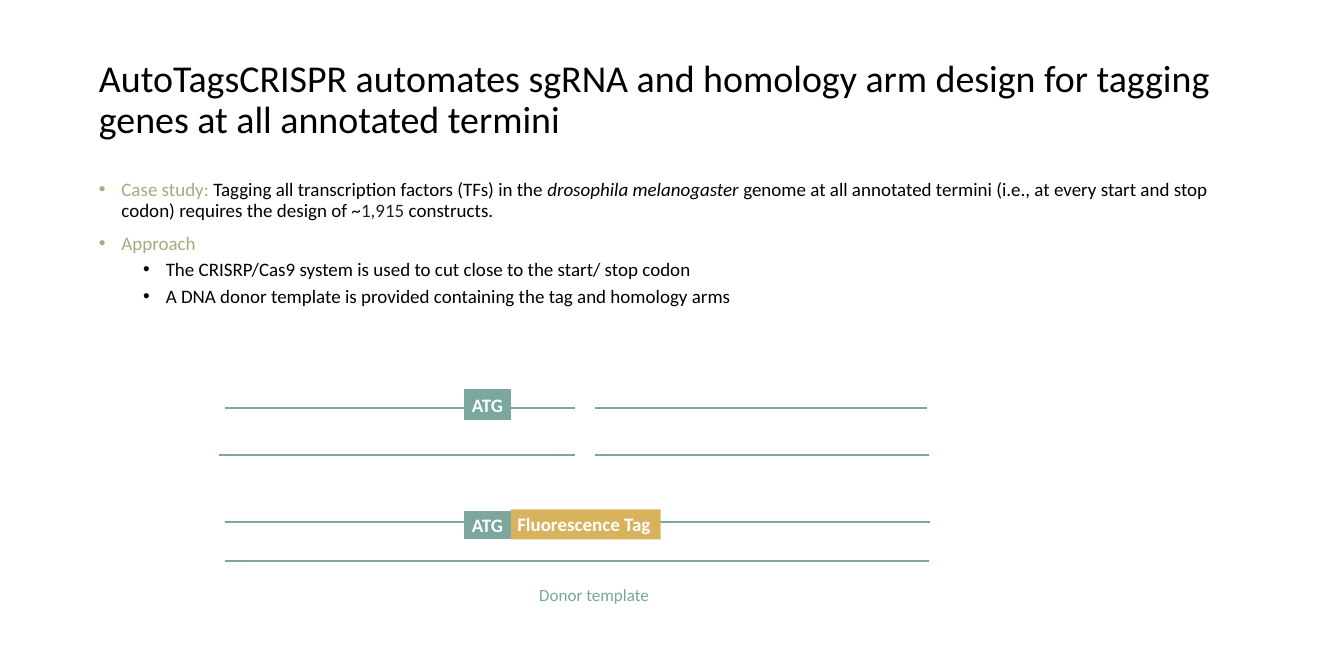
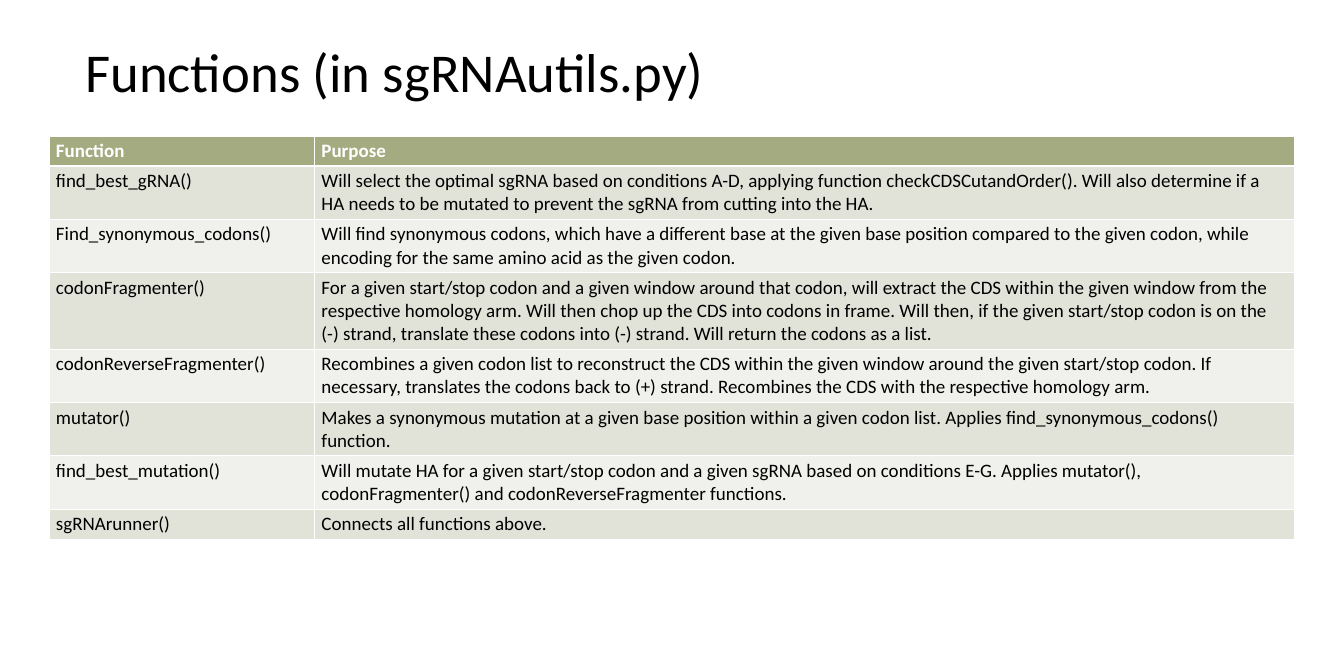
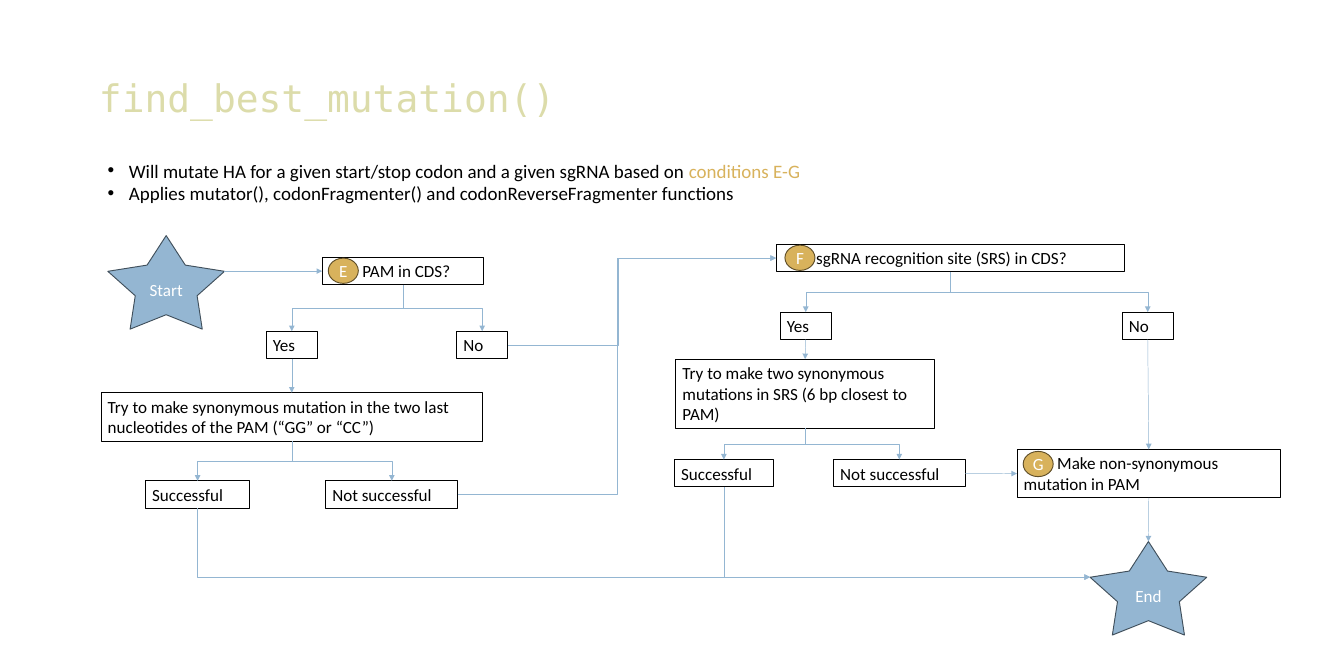
from dataclasses import dataclass
from enum import IntEnum
from typing import NamedTuple

from lxml.etree import SubElement
from pptx import Presentation
from pptx.dml.color import RGBColor
from pptx.enum.shapes import MSO_CONNECTOR as Link, MSO_SHAPE as Preset
from pptx.enum.text import MSO_ANCHOR as Anchor, MSO_AUTO_SIZE as AutoSize, PP_ALIGN as Align
from pptx.oxml.ns import qn
from pptx.shapes.autoshape import Shape
from pptx.shapes.connector import Connector
from pptx.slide import Slide
from pptx.text.text import TextFrame, _Paragraph as Paragraph, _Run as Run
from pptx.util import Inches, Pt

BLACK = RGBColor(0x00, 0x00, 0x00)
WHITE = RGBColor(0xFF, 0xFF, 0xFF)
INK = RGBColor(0x1F, 0x23, 0x28)
SAGE = RGBColor(0xA5, 0xAB, 0x81)
SAGE_MID = RGBColor(0xE1, 0xE2, 0xD8)
SAGE_LIGHT = RGBColor(0xF0, 0xF1, 0xED)
TEAL = RGBColor(0x7B, 0xA7, 0x9D)
GOLD = RGBColor(0xD8, 0xB2, 0x5C)
GOLD_DARK = RGBColor(0x5F, 0x4E, 0x28)
BLUE = RGBColor(0x94, 0xB6, 0xD2)
BLUE_DARK = RGBColor(0x41, 0x50, 0x5C)
CODE_YELLOW = RGBColor(0xDC, 0xDC, 0xAA)

BODY_FONT = "Calibri"
CODE_FONT = "DejaVu Sans Mono"
TITLE_ONLY = 5
TAB_STOP = 0.49
BOX_HEIGHT = 0.4


class Area(NamedTuple):
    left: float
    top: float
    width: float
    height: float

    def lengths(self) -> list[int]:
        return [Inches(value) for value in self]


class Span(NamedTuple):
    text: str
    color: RGBColor = BLACK
    italic: bool = False


@dataclass(frozen=True)
class Bullet:
    spans: list[Span]
    margin: float
    hanging: float
    level: int = 0
    space_before: float = 0
    line_spacing: float = 1.0


@dataclass(frozen=True)
class Look:
    preset: Preset = Preset.RECTANGLE
    fill: RGBColor = WHITE
    outline: RGBColor | None = BLACK
    text_color: RGBColor = BLACK
    size: float = 18
    bold: bool = False
    centred: bool = False
    wrap: bool = False


class Strand(NamedTuple):
    start: float
    end: float
    y: float


class Site(IntEnum):
    TOP = 0
    LEFT = 1
    BOTTOM = 2
    RIGHT = 3


class Node(NamedTuple):
    key: str
    text: str
    area: Area


class Flow(NamedTuple):
    source: str
    target: str
    leave: Site = Site.BOTTOM
    enter: Site = Site.TOP
    bent: bool = False
    bend: float = 0.5


TITLE_AREA = Area(1.35, 0.52, 16.98, 1.9)
TITLE_SIZE = 40

CODON = Look(fill=TEAL, outline=TEAL, text_color=WHITE, size=20, bold=True, centred=True)
TAG = Look(fill=GOLD, outline=None, text_color=WHITE, size=20, bold=True)
STEP = Look(wrap=True)
STAR = Look(Preset.STAR_5_POINT, BLUE, BLUE_DARK, WHITE, centred=True)
BADGE = Look(Preset.OVAL, GOLD, GOLD_DARK, WHITE, centred=True)
STAR_ARM = 0.38

CASE_BULLETS = [
    Bullet([
        Span("Case study:", SAGE),
        Span(" Tagging all transcription factors (TFs) in the "),
        Span("drosophila melanogaster ", italic=True),
        Span("genome at all annotated termini (i.e., at every start and stop codon) requires the design of ~"),
        Span("1,915", INK),
        Span(" constructs."),
    ], 0.33, 0.33, line_spacing=0.9),
    Bullet([Span("Approach", SAGE)], 0.33, 0.33, 0, 13.1, 0.9),
    *(Bullet([Span(text)], 0.98, 0.33, 1, 6.6, 0.9) for text in (
        "The CRISRP/Cas9 system is used to cut close to the start/ stop codon",
        "A DNA donor template is provided containing the tag and homology arms",
    )),
]

STRANDS = [
    Strand(3.29, 8.43, 5.97),
    Strand(8.71, 13.58, 5.97),
    Strand(3.21, 8.43, 6.66),
    Strand(8.71, 13.61, 6.66),
    Strand(3.29, 13.63, 7.65),
    Strand(3.29, 13.61, 8.21),
]

FUNCTIONS = [
    ("Function", "Purpose", 1),
    ("find_best_gRNA()", "Will select the optimal sgRNA based on conditions A-D, applying function checkCDSCutandOrder(). Will also determine if a HA needs to be mutated to prevent the sgRNA from cutting into the HA.", 2),
    ("Find_synonymous_codons()", "Will find synonymous codons, which have a different base at the given base position compared to the given codon, while encoding for the same amino acid as the given codon.", 2),
    ("codonFragmenter()", "For a given start/stop codon and a given window around that codon, will extract the CDS within the given window from the respective homology arm. Will then chop up the CDS into codons in frame. Will then, if the given start/stop codon is on the (-) strand, translate these codons into (-) strand. Will return the codons as a list.", 3),
    ("codonReverseFragmenter()", "Recombines a given codon list to reconstruct the CDS within the given window around the given start/stop codon. If necessary, translates the codons back to (+) strand. Recombines the CDS with the respective homology arm.", 2),
    ("mutator()", "Makes a synonymous mutation at a given base position within a given codon list. Applies find_synonymous_codons() function.", 2),
    ("find_best_mutation()", "Will mutate HA for a given start/stop codon and a given sgRNA based on conditions E-G. Applies mutator(), codonFragmenter() and codonReverseFragmenter functions.", 2),
    ("sgRNArunner()", "Connects all functions above.", 1),
]
COLUMN_WIDTHS = (3.89, 14.35)
LINE_HEIGHT = 0.34
CELL_PADDING = 0.1

MUTATION_BULLETS = [
    Bullet([
        Span("Will mutate HA for a given start/stop codon and a given sgRNA based on "),
        Span("conditions E-G", GOLD),
    ], 0.31, 0.31),
    Bullet([Span("Applies mutator(), codonFragmenter() and codonReverseFragmenter functions")], 0.31, 0.31),
]

STEPS = [
    Node("pam", "\tPAM in CDS?", Area(4.72, 3.77, 2.37, BOX_HEIGHT)),
    Node("pam_try", "Try to make synonymous mutation in the two last nucleotides of the PAM (“GG” or “CC”)",
         Area(1.48, 5.75, 5.59, 0.71)),
    Node("pam_yes", "Yes", Area(3.9, 4.85, 0.75, BOX_HEIGHT)),
    Node("pam_no", "No", Area(6.69, 4.85, 0.75, BOX_HEIGHT)),
    Node("srs", "\tsgRNA recognition site (SRS) in CDS?", Area(11.37, 3.58, 5.1, BOX_HEIGHT)),
    Node("srs_yes", "Yes", Area(11.43, 4.57, 0.75, BOX_HEIGHT)),
    Node("srs_no", "No", Area(16.44, 4.57, 0.75, BOX_HEIGHT)),
    Node("srs_try", "Try to make two synonymous mutations in SRS (6 bp closest to PAM)",
         Area(9.9, 5.26, 3.79, 1.01)),
    Node("pam_success", "Successful", Area(2.13, 7.04, 1.53, BOX_HEIGHT)),
    Node("pam_failure", "Not successful", Area(4.77, 7.04, 1.94, BOX_HEIGHT)),
    Node("srs_success", "Successful", Area(9.88, 6.73, 1.45, BOX_HEIGHT)),
    Node("srs_failure", "Not successful", Area(12.21, 6.73, 1.93, BOX_HEIGHT)),
    Node("force", "\tMake non-synonymous mutation in PAM", Area(14.9, 6.58, 3.86, 0.71)),
]
STARS = [
    Node("start", "Start", Area(1.58, 3.45, 1.71, 1.37)),
    Node("end", "End", Area(15.97, 7.93, 1.71, 1.37)),
]
BADGES = [
    Node("badge_pam", "E", Area(4.81, 3.78, 0.44, 0.37)),
    Node("badge_srs", "F", Area(11.5, 3.59, 0.44, 0.37)),
    Node("badge_force", "G", Area(14.99, 6.61, 0.44, 0.37)),
]
FLOWS = [
    Flow("srs_failure", "force", Site.RIGHT, Site.LEFT),
    Flow("srs_success", "end", enter=Site.LEFT, bent=True),
    Flow("force", "end"),
    Flow("srs_try", "srs_success", bent=True),
    Flow("srs_try", "srs_failure", bent=True),
    Flow("srs", "srs_yes", bent=True),
    Flow("srs", "srs_no", bent=True),
    Flow("srs_no", "force"),
    Flow("srs_yes", "srs_try"),
    Flow("pam", "pam_yes", bent=True),
    Flow("pam", "pam_no", bent=True),
    Flow("pam_yes", "pam_try"),
    Flow("pam_try", "pam_failure", bent=True),
    Flow("pam_try", "pam_success", bent=True),
    Flow("pam_failure", "srs", Site.RIGHT, Site.LEFT, True),
    Flow("pam_success", "end", enter=Site.LEFT, bent=True),
    Flow("pam_no", "srs", Site.RIGHT, Site.LEFT, True, 0.41),
]


def style_run(run: Run, size: float, color: RGBColor, bold: bool = False, font: str = BODY_FONT) -> None:
    run.font.name = font
    run.font.size = Pt(size)
    run.font.bold = bold
    run.font.color.rgb = color


def add_titled_slide(deck: Presentation, text: str, area: Area = TITLE_AREA, size: float = TITLE_SIZE,
                     color: RGBColor = BLACK, font: str = BODY_FONT) -> Slide:
    slide = deck.slides.add_slide(deck.slide_layouts[TITLE_ONLY])
    title = slide.shapes.title
    title.left, title.top, title.width, title.height = area.lengths()
    frame = title.text_frame
    frame.text = text
    frame.word_wrap = True
    frame.auto_size = AutoSize.NONE
    frame.vertical_anchor = Anchor.MIDDLE
    paragraph = frame.paragraphs[0]
    paragraph.alignment = Align.LEFT
    paragraph.line_spacing = 0.9
    style_run(paragraph.runs[0], size, color, font=font)
    return slide


def add_text_frame(slide: Slide, area: Area) -> TextFrame:
    frame = slide.shapes.add_textbox(*area.lengths()).text_frame
    frame.word_wrap = True
    return frame


def fill_bullet(paragraph: Paragraph, bullet: Bullet) -> None:
    paragraph.level = bullet.level
    paragraph.line_spacing = bullet.line_spacing
    paragraph.space_before = Pt(bullet.space_before)
    properties = paragraph._p.get_or_add_pPr()
    properties.set("marL", str(Inches(bullet.margin)))
    properties.set("indent", str(-Inches(bullet.hanging)))
    SubElement(properties, qn("a:buFont"), typeface="Arial")
    SubElement(properties, qn("a:buChar"), char="•")
    for span in bullet.spans:
        run = paragraph.add_run()
        run.text = span.text
        style_run(run, 20, span.color)
        run.font.italic = span.italic


def add_bullets(slide: Slide, area: Area, bullets: list[Bullet]) -> None:
    frame = add_text_frame(slide, area)
    for index, bullet in enumerate(bullets):
        fill_bullet(frame.add_paragraph() if index else frame.paragraphs[0], bullet)


def add_label_shape(slide: Slide, text: str, area: Area, look: Look) -> Shape:
    shape = slide.shapes.add_shape(look.preset, *area.lengths())
    shape.shadow.inherit = False
    shape.fill.solid()
    shape.fill.fore_color.rgb = look.fill
    if look.outline is None:
        shape.line.fill.background()
    else:
        shape.line.color.rgb = look.outline
        shape.line.width = Pt(1)
    frame = shape.text_frame
    frame.text = text
    frame.word_wrap = look.wrap
    frame.vertical_anchor = Anchor.MIDDLE if look.centred else Anchor.TOP
    paragraph = frame.paragraphs[0]
    paragraph.alignment = Align.CENTER if look.centred else Align.LEFT
    if text.startswith("\t"):
        stops = SubElement(paragraph._p.get_or_add_pPr(), qn("a:tabLst"))
        SubElement(stops, qn("a:tab"), pos=str(Inches(TAB_STOP)), algn="l")
    for run in paragraph.runs:
        style_run(run, look.size, look.text_color, look.bold)
    return shape


def style_line(line: Connector, color: RGBColor, width: float, arrow: bool = False) -> None:
    line.line.color.rgb = color
    line.line.width = Pt(width)
    properties = line._element.spPr
    if arrow:
        SubElement(properties.find(qn("a:ln")), qn("a:tailEnd"), type="triangle")
    SubElement(properties, qn("a:effectLst"))


def add_straight(slide: Slide, start: tuple[float, float], end: tuple[float, float]) -> Connector:
    return slide.shapes.add_connector(Link.STRAIGHT, *(Inches(value) for value in (*start, *end)))


def turn_downward(elbow: Connector) -> None:
    rightward = elbow.end_x > elbow.begin_x
    across, down = elbow.width, elbow.height
    middle_x, middle_y = elbow.left + across // 2, elbow.top + down // 2
    elbow.left, elbow.top = middle_x - down // 2, middle_y - across // 2
    elbow.width, elbow.height = down, across
    transform = elbow._element.spPr.find(qn("a:xfrm"))
    for flip in ("flipH", "flipV"):
        transform.attrib.pop(flip, None)
    transform.set("rot", str((270 if rightward else 90) * 60000))
    if rightward:
        transform.set("flipH", "1")


def add_flow(slide: Slide, flow: Flow, shapes: dict[str, Shape]) -> None:
    target = shapes[flow.target]
    line = slide.shapes.add_connector(Link.ELBOW if flow.bent else Link.STRAIGHT, 0, 0, 0, 0)
    line.begin_connect(shapes[flow.source], flow.leave)
    line.end_connect(target, flow.enter)
    if flow.target == "end" and flow.enter == Site.LEFT:
        line.end_y = target.top + int(target.height * STAR_ARM)
    geometry = line._element.spPr.find(qn("a:prstGeom"))
    if flow.bent and flow.leave == Site.BOTTOM:
        turn_downward(line)
        if flow.enter == Site.LEFT:
            geometry.set("prst", "bentConnector2")
    if flow.bend != 0.5:
        SubElement(geometry.find(qn("a:avLst")), qn("a:gd"), name="adj1", fmla=f"val {round(flow.bend * 100000)}")
    style_line(line, BLUE, 0.5, arrow=True)


def build_case_study(deck: Presentation) -> None:
    slide = add_titled_slide(
        deck, "AutoTagsCRISPR automates sgRNA and homology arm design for tagging genes at all annotated termini")
    add_bullets(slide, Area(1.35, 2.59, 16.98, 2.2), CASE_BULLETS)
    for strand in STRANDS:
        style_line(add_straight(slide, (strand.start, strand.y), (strand.end, strand.y)), TEAL, 2)
    add_label_shape(slide, "Fluorescence Tag", Area(7.48, 7.46, 2.2, 0.44), TAG)
    for top, height in ((7.49, 0.39), (5.71, 0.43)):
        add_label_shape(slide, "ATG", Area(6.8, top, 0.68, height), CODON)
    caption = add_text_frame(slide, Area(7.8, 8.51, 1.99, 0.4))
    caption.text = "Donor template"
    style_run(caption.paragraphs[0].runs[0], 18, TEAL)


def build_functions(deck: Presentation) -> None:
    slide = add_titled_slide(deck, "Functions (in sgRNAutils.py)", Area(1.15, 0.34, 16.98, 1.51), 57.7)
    heights = [lines * LINE_HEIGHT + CELL_PADDING for _, _, lines in FUNCTIONS]
    area = Area(0.72, 1.99, sum(COLUMN_WIDTHS), sum(heights))
    table = slide.shapes.add_table(len(FUNCTIONS), len(COLUMN_WIDTHS), *area.lengths()).table
    table.horz_banding = False
    for column, width in zip(table.columns, COLUMN_WIDTHS):
        column.width = Inches(width)
    for index, (name, purpose, _) in enumerate(FUNCTIONS):
        table.rows[index].height = Inches(heights[index])
        header = index == 0
        fill = SAGE if header else SAGE_MID if index % 2 else SAGE_LIGHT
        for cell, text in zip(table.rows[index].cells, (name, purpose)):
            cell.text = text
            style_run(cell.text_frame.paragraphs[0].runs[0], 20, WHITE if header else BLACK, header)
            properties = cell._tc.get_or_add_tcPr()
            for edge in ("lnL", "lnR", "lnT", "lnB"):
                thick = (header and edge == "lnB") or (index == 1 and edge == "lnT")
                border = SubElement(properties, qn(f"a:{edge}"), w=str(Pt(3 if thick else 1)))
                paint = SubElement(border, qn("a:solidFill"))
                SubElement(paint, qn("a:srgbClr"), val=str(WHITE))
            cell.fill.solid()
            cell.fill.fore_color.rgb = fill


def build_mutation_flow(deck: Presentation) -> None:
    slide = add_titled_slide(deck, "find_best_mutation()", color=CODE_YELLOW, font=CODE_FONT)
    shapes = {step.key: add_label_shape(slide, step.text, step.area, STEP) for step in STEPS}
    for star in STARS:
        shapes[star.key] = add_label_shape(slide, star.text, star.area, STAR)
        shapes[star.key].adjustments[0] = 0.265
    for flow in FLOWS:
        add_flow(slide, flow, shapes)
    for badge in BADGES:
        add_label_shape(slide, badge.text, badge.area, BADGE)
    add_bullets(slide, Area(1.48, 2.28, 16.13, 0.77), MUTATION_BULLETS)
    style_line(add_straight(slide, (3.28, 3.97), (4.72, 3.97)), BLUE, 0.5, arrow=True)


def main() -> None:
    deck = Presentation()
    deck.slide_width = Inches(19.69)
    deck.slide_height = Inches(9.84)
    build_case_study(deck)
    build_functions(deck)
    build_mutation_flow(deck)
    deck.save("out.pptx")


if __name__ == "__main__":
    main()
